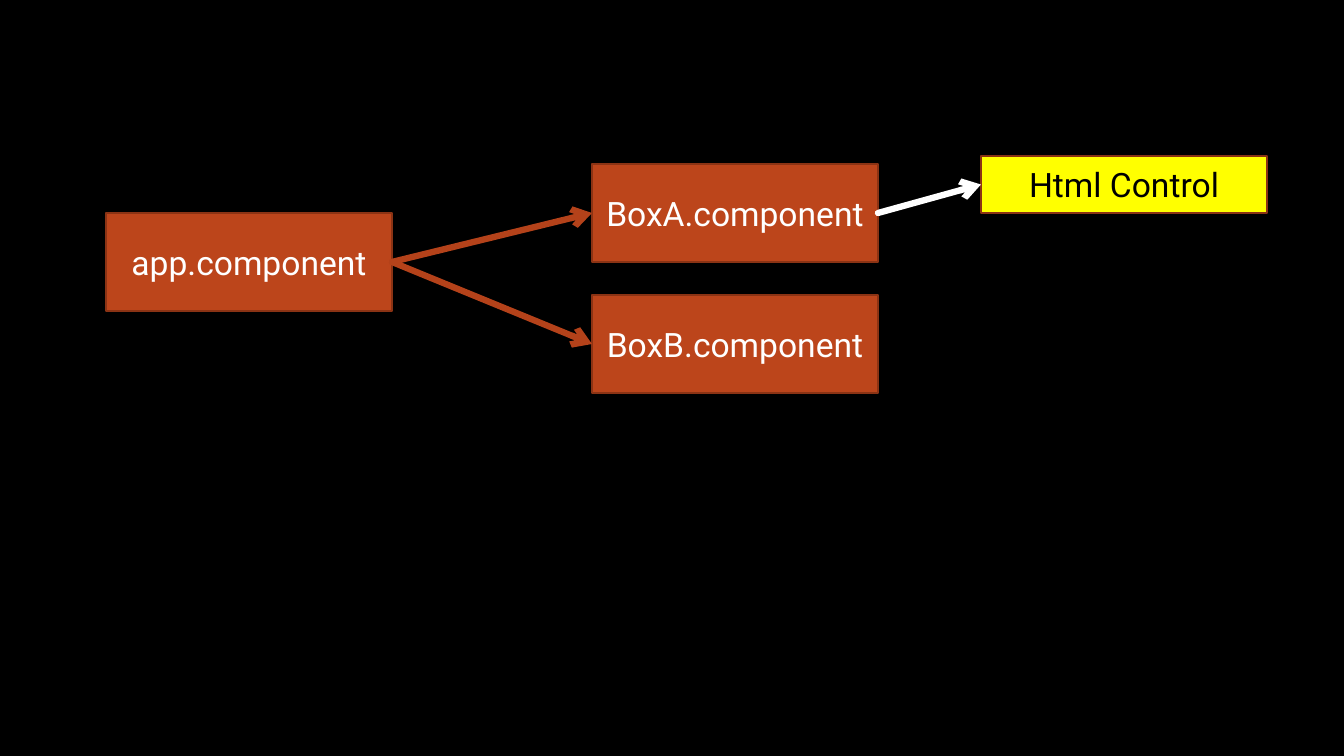
from lxml.etree import SubElement
from pptx import Presentation
from pptx.dml.color import RGBColor
from pptx.enum.shapes import MSO_CONNECTOR, MSO_SHAPE
from pptx.enum.text import MSO_ANCHOR, PP_ALIGN
from pptx.oxml.ns import qn
from pptx.util import Pt

COLORS = {
    "background": "000000",
    "component": "BC451B",
    "border": "8B3314",
    "link": "B4421A",
    "control": "FFFF00",
    "white": "FFFFFF",
    "black": "000000",
}

# label: left, top, height, fill, text colour
BOXES = {
    "app.component": (106, 213, 98, "component", "white"),
    "BoxA.component": (592, 164, 98, "component", "white"),
    "BoxB.component": (592, 295, 98, "component", "white"),
    "Html Control": (981, 156, 57, "control", "black"),
}
LINKS = [
    ("app.component", "BoxA.component", "link"),
    ("app.component", "BoxB.component", "link"),
    ("BoxA.component", "Html Control", "white"),
]

SLIDE_WIDTH, SLIDE_HEIGHT = 1344, 756
BOX_WIDTH = 286
PX_PER_INCH = 100.8
LEFT_SIDE, RIGHT_SIDE = 1, 3


def px(length):
    return round(length * 914400 / PX_PER_INCH)


def color(name):
    return RGBColor.from_string(COLORS[name])


def add_box(slide, label, left, top, height, fill, text_color):
    box = slide.shapes.add_shape(
        MSO_SHAPE.RECTANGLE, px(left), px(top), px(BOX_WIDTH), px(height))
    box.shadow.inherit = False
    box.fill.solid()
    box.fill.fore_color.rgb = color(fill)
    box.line.color.rgb = color("border")
    box.line.width = Pt(1.25)
    frame = box.text_frame
    frame.word_wrap = True
    frame.vertical_anchor = MSO_ANCHOR.MIDDLE
    paragraph = frame.paragraphs[0]
    paragraph.alignment = PP_ALIGN.CENTER
    run = paragraph.add_run()
    run.text = label
    run.font.name = "Roboto"
    run.font.size = Pt(24)
    run.font.color.rgb = color(text_color)
    return box


def add_link(slide, parent, child, line_color):
    """Draw an arrow from the parent's right side to the child's left side."""
    link = slide.shapes.add_connector(MSO_CONNECTOR.STRAIGHT, 0, 0, 0, 0)
    link.begin_connect(parent, RIGHT_SIDE)
    link.end_connect(child, LEFT_SIDE)
    link.line.color.rgb = color(line_color)
    link.line.width = Pt(4.5)
    outline = link.line._get_or_add_ln()
    outline.set("cap", "rnd")
    SubElement(outline, qn("a:tailEnd"), type="arrow")
    SubElement(link._element.spPr, qn("a:effectLst"))


def main():
    deck = Presentation()
    deck.slide_width, deck.slide_height = px(SLIDE_WIDTH), px(SLIDE_HEIGHT)
    slide = deck.slides.add_slide(deck.slide_layouts[6])
    slide.background.fill.solid()
    slide.background.fill.fore_color.rgb = color("background")

    boxes = {label: add_box(slide, label, *details)
             for label, details in BOXES.items()}
    for parent, child, line_color in LINKS:
        add_link(slide, boxes[parent], boxes[child], line_color)

    deck.save("out.pptx")


if __name__ == "__main__":
    main()
